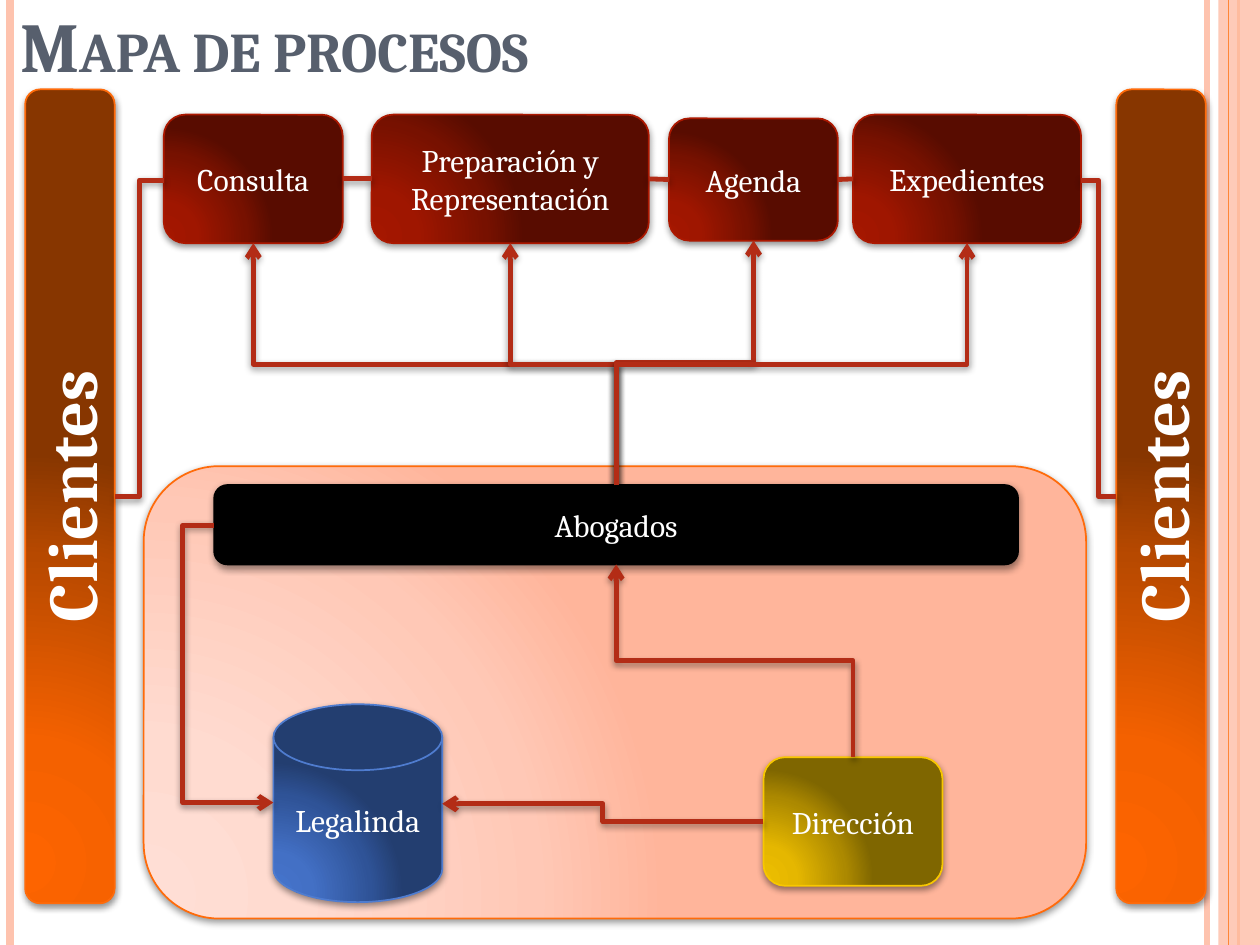
"""Build the process map slide: clients, service steps and the internal firm area."""
from lxml import etree
from pptx import Presentation, util as u
from pptx.dml.color import RGBColor
from pptx.enum import shapes, text
from pptx.oxml import parse_xml
from pptx.oxml.ns import nsdecls, qn

COLORS = {"title": "575F6D", "white": "FFFFFF", "black": "000000",
          "pink": "FEC3AE", "orange": "FE8637", "arrow": "B32C16"}
PALETTES = {
    "area": ("FF6B0A", ["FFDED5", "FFDBD0", "FFC8B6", "FFB59B"]),
    "clients": ("FF6B0A", ["FD6400", "F46100", "B74900", "873600"]),
    "step": ("AC1800", ["A41700", "9F1600", "771100", "580C00"]),
    "system": ("4F7CCF", ["4574CC", "4370C5", "2F5397", "233E70"]),
    "lawyers": ("000000", None),
    "management": ("F8C700", ["EDBE00", "E5B700", "AC8900", "7F6600"]),
}
FONT = "Cambria"
ROUND = shapes.MSO_SHAPE.ROUNDED_RECTANGLE
DISK = shapes.MSO_SHAPE.FLOWCHART_MAGNETIC_DISK

deck = Presentation()
deck.slide_width, deck.slide_height = u.Inches(10), u.Inches(7.5)
slide = deck.slides.add_slide(deck.slide_layouts[5])


def set_shadow(part, dist=1.6):
    """Give a part a soft shadow that falls straight down."""
    props = part._element.spPr
    for old in props.findall(qn("a:effectLst")):
        props.remove(old)
    props.append(parse_xml(
        f'<a:effectLst {nsdecls("a")}><a:outerShdw blurRad="{u.Pt(4)}" dist="{u.Pt(dist)}" '
        'dir="5400000" rotWithShape="0"><a:srgbClr val="000000"><a:alpha val="42000"/>'
        '</a:srgbClr></a:outerShdw></a:effectLst>'))


def add_link(start, end, color="arrow", width=2.75, bent=True):
    """Draw a straight or elbow line between two points in inches."""
    kind = shapes.MSO_CONNECTOR.ELBOW if bent else shapes.MSO_CONNECTOR.STRAIGHT
    link = slide.shapes.add_connector(kind, *[u.Inches(v) for v in (*start, *end)])
    link.line.color.rgb = RGBColor.from_string(COLORS[color])
    link.line.width = u.Pt(width)
    etree.SubElement(link._element.spPr, qn("a:effectLst"))
    return link


title = slide.shapes.title
title.left, title.top, title.width, title.height = [u.Inches(v) for v in (0.06, 0, 8.83, 0.71)]
title.text_frame.text = "Mapa de procesos"
title.text_frame.vertical_anchor = text.MSO_ANCHOR.MIDDLE
heading = title.text_frame.paragraphs[0]
heading.alignment = text.PP_ALIGN.LEFT
heading_font = heading.runs[0].font
heading_font.name, heading_font.size, heading_font.bold = FONT, u.Pt(40), True
heading_font.color.rgb = RGBColor.from_string(COLORS["title"])
heading.runs[0]._r.get_or_add_rPr().set("cap", "small")

for x, color, width in [(9.58, "pink", 3), (0.08, "pink", 4.5), (9.83, "orange", 1.5)]:
    add_link((x, 0), (x, 7.5), color, width, bent=False)
margin = slide.shapes.add_shape(shapes.MSO_SHAPE.RECTANGLE, u.Inches(9.67), 0,
                                u.Inches(0.33), deck.slide_height)
margin.shadow.inherit = False
margin.fill.solid()
margin.fill.fore_color.rgb = RGBColor.from_string(COLORS["pink"])
tint = margin._element.spPr.find(qn("a:solidFill"))[0]
etree.SubElement(tint, qn("a:alpha")).set("val", "87000")
margin.line.fill.background()
add_link((9.75, 0), (9.75, 7.5), "orange", 0.75, bent=False)

STEPS = [("Consulta", 1.3, 0.91, 1.42, 1.02), ("Preparación y Representación", 2.95, 0.91, 2.2, 1.02),
         ("Agenda", 5.31, 0.94, 1.34, 0.97), ("Expedientes", 6.77, 0.91, 1.81, 1.02)]
BOXES = [("area", ROUND, "", 1.14, 3.7, 7.48, 3.59),
         *[("clients", ROUND, "Clientes", x, 0.71, 0.71, 6.46) for x in (0.2, 8.86)],
         *[("step", ROUND, *step) for step in STEPS],
         ("system", DISK, "Legalinda", 2.17, 5.59, 1.34, 1.57),
         ("lawyers", ROUND, "Abogados", 1.7, 3.85, 6.38, 0.63),
         ("management", ROUND, "Dirección", 6.06, 6.01, 1.42, 1.02)]

for role, outline, label, *place in BOXES:
    box = slide.shapes.add_shape(outline, *[u.Inches(v) for v in place])
    edge, stops = PALETTES[role]
    if stops:
        box.fill.background()
        marks = "".join(f'<a:gs pos="{pos}000"><a:srgbClr val="{stop}"/></a:gs>'
                        for pos, stop in zip((0, 30, 75, 100), stops))
        props = box._element.spPr
        props.replace(props.find(qn("a:noFill")), parse_xml(
            f'<a:gradFill {nsdecls("a")} rotWithShape="1"><a:gsLst>{marks}</a:gsLst>'
            '<a:path path="circle"><a:fillToRect l="5000" t="100000" r="120000" b="10000"/>'
            '</a:path></a:gradFill>'))
    else:
        box.fill.solid()
        box.fill.fore_color.rgb = RGBColor.from_string(COLORS["black"])
    box.line.color.rgb = RGBColor.from_string(edge)
    box.line.width = u.Pt(1)
    set_shadow(box, 2 if role == "area" else 1.6)
    if not label:
        continue
    frame = box.text_frame
    frame.text, frame.word_wrap = label, True
    frame.vertical_anchor = text.MSO_ANCHOR.MIDDLE
    frame.paragraphs[0].alignment = text.PP_ALIGN.CENTER
    font = frame.paragraphs[0].runs[0].font
    font.name, font.size = FONT, u.Pt(18)
    font.color.rgb = RGBColor.from_string(COLORS["white"])
    if role == "clients":
        font.size, font.bold = u.Pt(40), True
        frame._txBody.bodyPr.set("vert", "vert270")

flows = [add_link((0.91, 3.94), (1.3, 1.43)), add_link((8.58, 1.43), (8.86, 3.94))]
for (_, x, y, w, h), (_, next_x, next_y, _, next_h) in zip(STEPS, STEPS[1:]):
    flows.append(add_link((x + w, y + h / 2), (next_x, next_y + next_h / 2), bent=False))

lawyers_x = 4.89
rises = [((lawyers_x, 3.85), (x + w / 2, y + h)) for _, x, y, w, h in STEPS]
rises.append(((6.77, 6.01), (lawyers_x, 4.48)))
arrows = []
for (x1, y1), (x2, y2) in rises:
    mid_x, mid_y = (x1 + x2) / 2, (y1 + y2) / 2
    half_w, half_h = (y1 - y2) / 2, abs(x2 - x1) / 2
    side = 1 if x2 > x1 else -1
    rise = add_link((mid_x + side * half_w, mid_y + half_h), (mid_x - side * half_w, mid_y - half_h))
    rise._element.spPr.find(qn("a:xfrm")).set("rot", str((90 if side > 0 else 270) * 60000))
    arrows.append(rise)

arrows.append(add_link((6.06, 6.52), (3.51, 6.38)))
detour = add_link((1.7, 4.17), (2.17, 6.37))
guides = detour._element.spPr.find(qn("a:prstGeom")).find(qn("a:avLst"))
bend = etree.SubElement(guides, qn("a:gd"))
bend.set("name", "adj1")
bend.set("fmla", "val -52900")
arrows.append(detour)

for arrow in arrows:
    etree.SubElement(arrow.line._get_or_add_ln(), qn("a:tailEnd")).set("type", "arrow")
for link in flows + arrows:
    set_shadow(link)

deck.save("out.pptx")
